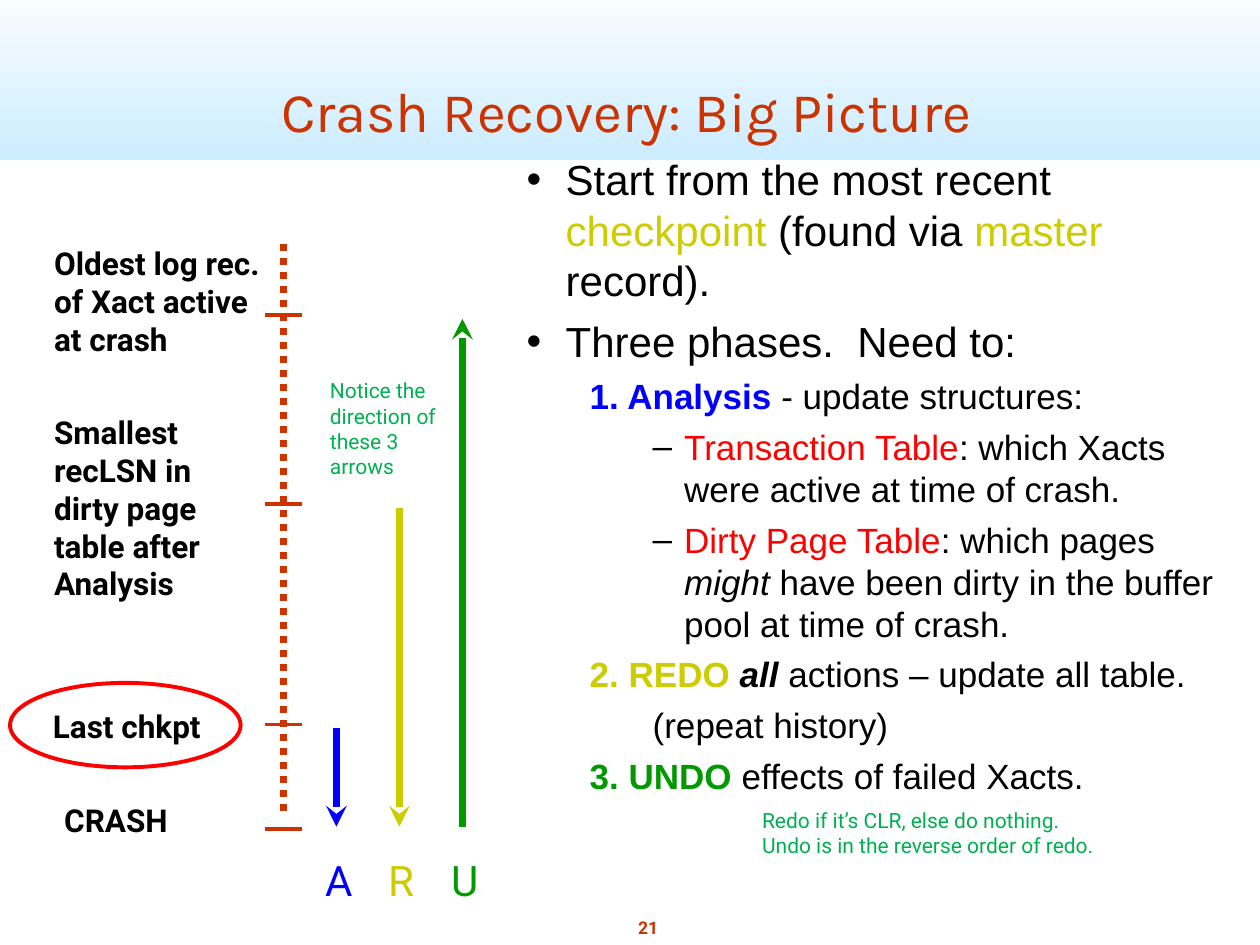
from lxml.etree import SubElement
from pptx import Presentation
from pptx.dml.color import RGBColor
from pptx.enum.dml import MSO_LINE
from pptx.enum.shapes import MSO_CONNECTOR, MSO_SHAPE
from pptx.enum.text import MSO_ANCHOR, MSO_AUTO_SIZE, PP_ALIGN
from pptx.oxml.ns import qn
from pptx.util import Inches, Pt

RUST, BLACK, RED = "CC3300", "000000", "FF0000"
BLUE, OLIVE, GREEN, NOTE = "0000FF", "CCCC00", "009900", "00B050"


def rgb(value):
    return RGBColor.from_string(value)


class RecoverySlide:
    """Style and current slide, with one method for each kind of element."""

    inset = 0.05
    label = {"name": "Roboto", "size": 18, "bold": True}
    letter = {"name": "Roboto", "size": 24}
    note = {"name": "Roboto", "size": 12, "color": NOTE}
    body = {"name": "Arial", "size": 20}

    def __init__(self, deck):
        self.slide = deck.slides.add_slide(deck.slide_layouts[6])
        self.shapes = self.slide.shapes

    def band(self, box, bottom, top):
        band = self.shapes.add_shape(MSO_SHAPE.RECTANGLE, *map(Inches, box))
        band.shadow.inherit = False
        band.fill.gradient()
        band.fill.gradient_angle = 90
        for stop, color in zip(band.fill.gradient_stops, (bottom, top)):
            stop.color.rgb = rgb(color)
        band.line.fill.background()

    def ring(self, box, color, width):
        ring = self.shapes.add_shape(MSO_SHAPE.OVAL, *map(Inches, box))
        ring.shadow.inherit = False
        ring.fill.background()
        ring.line.color.rgb = rgb(color)
        ring.line.width = Pt(width)

    def line(self, start, end, color, width, dash=None, arrow=None):
        line = self.shapes.add_connector(
            MSO_CONNECTOR.STRAIGHT, *map(Inches, (*start, *end)))
        SubElement(line._element.spPr, qn("a:effectLst"))
        line.line.color.rgb = rgb(color)
        line.line.width = Pt(width)
        if dash:
            line.line.dash_style = dash
        if arrow:
            SubElement(line.line._get_or_add_ln(), qn(f"a:{arrow}"), type="stealth")

    def frame(self, box, wrap=True, grow=True, side=inset, anchor=MSO_ANCHOR.TOP):
        frame = self.shapes.add_textbox(*map(Inches, box)).text_frame
        settings = {
            "word_wrap": wrap,
            "auto_size": MSO_AUTO_SIZE.SHAPE_TO_FIT_TEXT if grow else MSO_AUTO_SIZE.NONE,
            "vertical_anchor": anchor,
            "margin_left": Inches(side),
            "margin_right": Inches(side),
            "margin_top": Inches(self.inset),
            "margin_bottom": Inches(self.inset),
        }
        for key, value in settings.items():
            setattr(frame, key, value)
        return frame

    def runs(self, paragraph, pieces, style):
        for words, changes in pieces:
            run = paragraph.add_run()
            run.text = words
            for key, value in {"color": BLACK, **style, **changes}.items():
                if key == "color":
                    run.font.color.rgb = rgb(value)
                else:
                    setattr(run.font, key, Pt(value) if key == "size" else value)

    def text(self, box, lines, style, align=PP_ALIGN.LEFT, **options):
        frame = self.frame(box, **options)
        for index, words in enumerate(lines):
            paragraph = frame.add_paragraph() if index else frame.paragraphs[0]
            paragraph.alignment = align
            self.runs(paragraph, [(words, {})], style)

    def outline(self, box, items):
        frame = self.frame(box)
        levels = {
            "point": (0.31, -0.31, "•", 6, {"size": 24}),
            "phase": (0.31, 0.19, None, 5, {}),
            "detail": (1.25, -0.25, "–", 5, {}),
            "aside": (0.25, 0.75, None, 5, {}),
        }
        for index, (level, *pieces) in enumerate(items):
            margin, indent, bullet, space, changes = levels[level]
            paragraph = frame.add_paragraph() if index else frame.paragraphs[0]
            props = paragraph._p.get_or_add_pPr()
            props.set("marL", str(Inches(margin)))
            props.set("indent", str(Inches(indent)))
            if bullet:
                SubElement(SubElement(props, qn("a:buClr")), qn("a:srgbClr"), val=BLACK)
                SubElement(props, qn("a:buFont"), typeface="Arial")
                SubElement(props, qn("a:buChar"), char=bullet)
            else:
                SubElement(props, qn("a:buNone"))
            if index:
                paragraph.space_before = Pt(space)
            self.runs(paragraph, pieces, {**self.body, **changes})


def main():
    deck = Presentation()
    deck.slide_width, deck.slide_height = Inches(10), Inches(7.5)
    page = RecoverySlide(deck)

    page.band((0, -0.17, 10, 1.44), "CCECFF", "FFFFFF")
    page.text((5.01, 7.23, 0.27, 0.27), ["21"],
              {"name": "Roboto", "size": 10, "color": RUST, "bold": True},
              PP_ALIGN.CENTER, wrap=False)
    page.text((0.85, 0.3, 8.25, 0.89), ["Crash Recovery: Big Picture"],
              {"name": "Karla", "size": 32, "color": RUST},
              PP_ALIGN.CENTER, grow=False, anchor=MSO_ANCHOR.BOTTOM)

    olive, red = {"color": OLIVE}, {"color": RED}
    page.outline((4.13, 1.17, 5.65, 5.25), [
        ("point", ("Start from the most recent ", {}), ("checkpoint", olive),
         (" (found via ", {}), ("master", olive), (" record).", {})),
        ("point", ("Three phases.  Need to:", {})),
        ("phase", ("1. Analysis ", {"color": BLUE, "bold": True}),
         ("- update structures:", {})),
        ("detail", ("Transaction Table", red),
         (": which Xacts were active at time of crash.", {})),
        ("detail", ("Dirty Page Table", red), (": which pages ", {}),
         ("might", {"italic": True}),
         (" have been dirty in the buffer pool at time of crash.", {})),
        ("phase", ("2. REDO ", {"color": OLIVE, "bold": True}),
         ("all", {"bold": True, "italic": True}),
         (" actions – update all table.", {})),
        ("aside", ("(repeat history)", {})),
        ("phase", ("3. UNDO", {"color": GREEN, "bold": True}),
         (" effects of failed Xacts.", {})),
    ])

    page.line((2.25, 1.94), (2.25, 6.47), RUST, 4, dash=MSO_LINE.ROUND_DOT)
    moments = [
        (2.5, 0.38, 1.89, 1.32, "Oldest log rec. of Xact active at crash"),
        (4, 0.38, 3.23, 1.63, "Smallest recLSN in dirty page table after Analysis"),
        (5.75, 0.37, 5.56, 0.4, "Last chkpt"),
        (6.58, 0.46, 6.31, 0.4, "CRASH"),
    ]
    for tick, left, top, height, words in moments:
        page.text((left, top, 1.74, height), [words], page.label)
        page.line((2.1, tick), (2.4, tick), RUST, 2)

    phases = [
        ("A", BLUE, 5.78, "tailEnd", 0.33),
        ("R", OLIVE, 4.03, "tailEnd", 0.35),
        ("U", GREEN, 2.53, "headEnd", 0.35),
    ]
    for index, (letter, color, top, arrow, width) in enumerate(phases):
        x = 2.67 + 0.5 * index
        page.line((x, top), (x, 6.56), color, 4, arrow=arrow)
        page.text((x - 0.14, 6.73, width, 0.5), [letter],
                  {**page.letter, "color": color}, wrap=False)

    page.ring((0.08, 5.42, 1.83, 0.67), RED, 2.25)
    page.text((5.95, 6.36, 2.89, 0.5),
              ["Redo if it’s CLR, else do nothing.",
               "Undo is in the reverse order of redo."],
              page.note, wrap=False, side=0.1)
    page.text((2.52, 2.95, 1.28, 0.91), ["Notice the direction of these 3 arrows"],
              page.note, side=0.1)

    deck.save("out.pptx")


if __name__ == "__main__":
    main()
